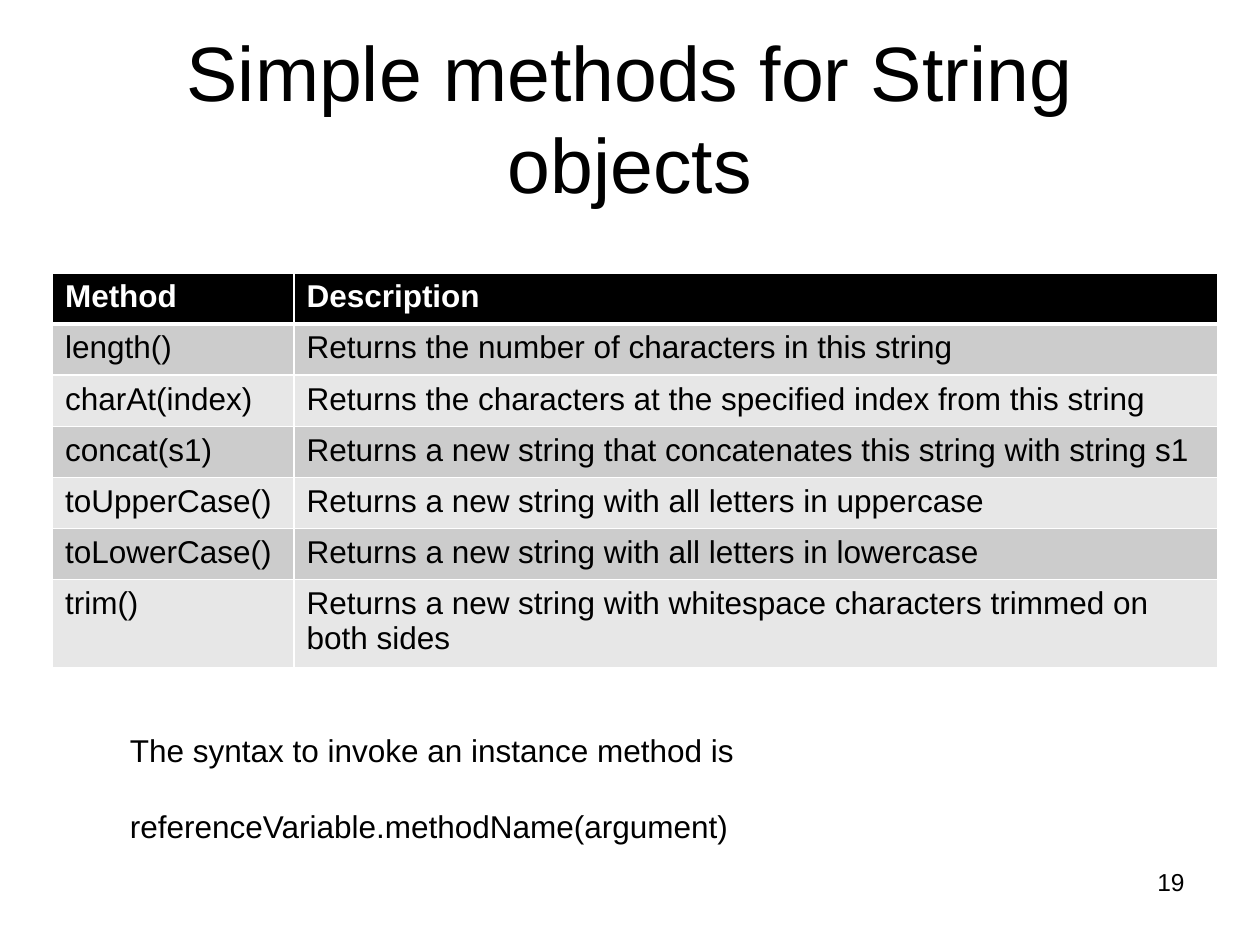
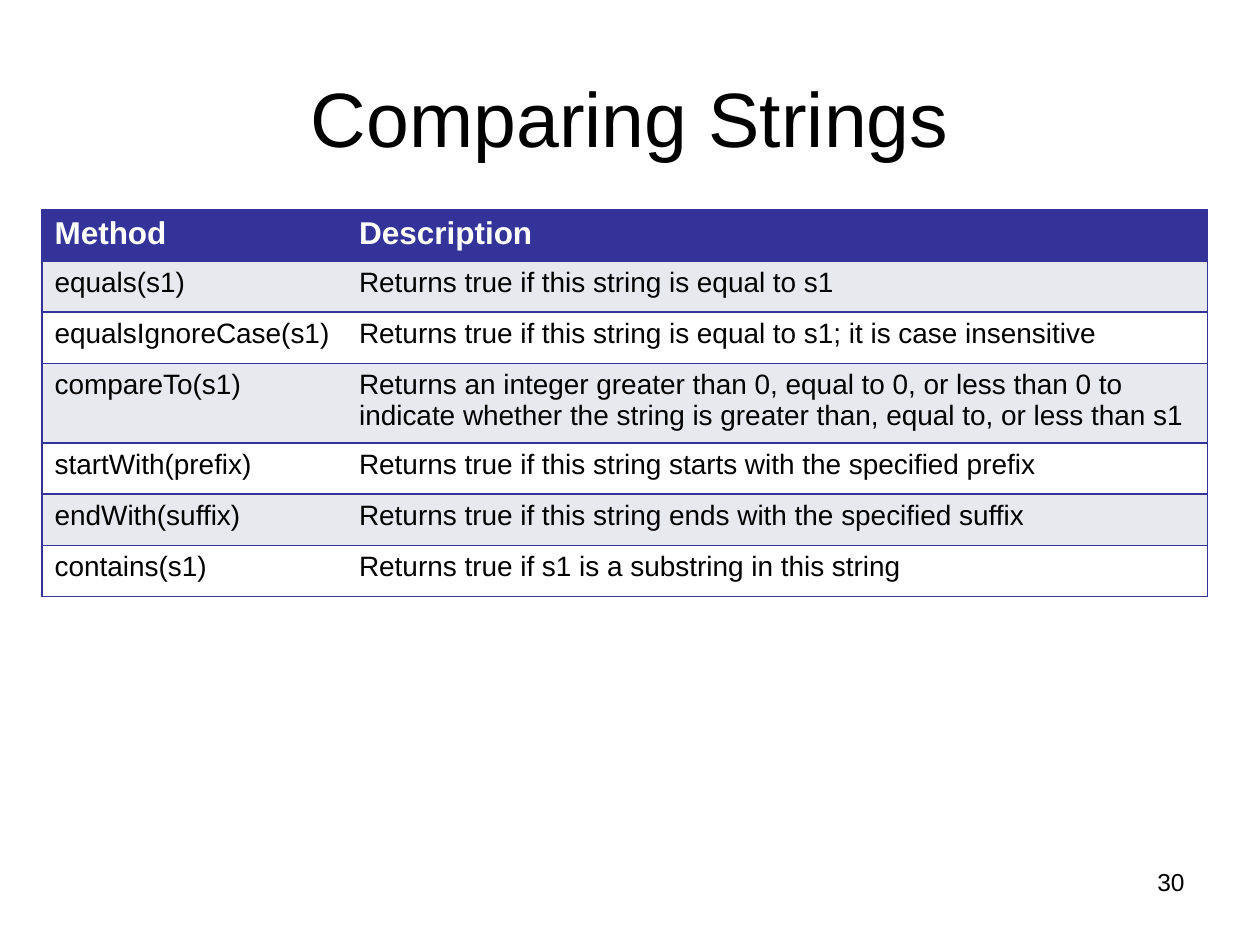
from lxml import etree
from pptx import Presentation
from pptx.dml.color import RGBColor
from pptx.enum.text import MSO_ANCHOR, MSO_AUTO_SIZE, PP_ALIGN
from pptx.oxml.ns import qn
from pptx.util import Inches, Pt

LEFT, MID, RIGHT = PP_ALIGN.LEFT, PP_ALIGN.CENTER, PP_ALIGN.RIGHT
TOP, CENTER = MSO_ANCHOR.TOP, MSO_ANCHOR.MIDDLE
FIXED = MSO_AUTO_SIZE.NONE
TITLE_ONLY = 5
WIDE, HIGH = 120, 90  # grid columns and rows on a slide
BLACK, WHITE, NAVY = "000000", "FFFFFF", "333399"
ROW = 4.87  # grid rows in a one-line table row

GRAY = {"head": BLACK, "bands": ("CCCCCC", "E7E7E7"), "line": WHITE,
        "rule": 3, "inner": True, "size": 18}
BLUE = {"head": NAVY, "bands": ("E8E8EF", WHITE), "line": NAVY,
        "rule": 1, "inner": False, "size": 16}

METHODS = [
    ("Method", "Description"),
    ("length()", "Returns the number of characters in this string"),
    ("charAt(index)",
     "Returns the characters at the specified index from this string"),
    ("concat(s1)",
     "Returns a new string that concatenates this string with string s1"),
    ("toUpperCase()", "Returns a new string with all letters in uppercase"),
    ("toLowerCase()", "Returns a new string with all letters in lowercase"),
    ("trim()", "Returns a new string with whitespace characters trimmed on "
               "both sides"),
]
TESTS = [
    ("Method", "Description"),
    ("equals(s1)", "Returns true if this string is equal to s1"),
    ("equalsIgnoreCase(s1)",
     "Returns true if this string is equal to s1; it is case insensitive"),
    ("compareTo(s1)",
     "Returns an integer greater than 0, equal to 0, or less than 0 to "
     "indicate whether the string is greater than, equal to, or less than s1"),
    ("startWith(prefix)",
     "Returns true if this string starts with the specified prefix"),
    ("endWith(suffix)",
     "Returns true if this string ends with the specified suffix"),
    ("contains(s1)", "Returns true if s1 is a substring in this string"),
]


def color(code):
    return RGBColor.from_string(code)


def assign(item, values):
    for name, value in values.items():
        setattr(item, name, value)


class Deck:
    def __init__(self):
        self.file = Presentation()
        assign(self.file, {"slide_width": Inches(10),
                           "slide_height": Inches(7.5)})
        self.slide = None

    def x(self, cols):
        return round(self.file.slide_width * cols / WIDE)

    def y(self, rows):
        return round(self.file.slide_height * rows / HIGH)

    def place(self, at):
        """Turn grid left, top, width and height into lengths."""
        left, top, width, height = at
        return self.x(left), self.y(top), self.x(width), self.y(height)

    def letter(self, frame, lines, size, align=LEFT, ink=BLACK, bold=False,
               gap=0):
        """Fill a text frame with one styled paragraph per line."""
        frame.text = "\n".join(lines)
        for i, para in enumerate(frame.paragraphs):
            assign(para, {"alignment": align,
                          "space_before": Pt(gap if i else 0)})
            for run in para.runs:
                assign(run.font, {"name": "Arial", "size": Pt(size),
                                  "bold": bold})
                run.font.color.rgb = color(ink)

    def page(self, title, number):
        layout = self.file.slide_layouts[TITLE_ONLY]
        self.slide = self.file.slides.add_slide(layout)
        head = self.slide.shapes.title
        spots = ("left", "top", "width", "height")
        assign(head, dict(zip(spots, self.place((6, 3.6, 108, 15)))))
        assign(head.text_frame, {"word_wrap": True, "auto_size": FIXED,
                                 "vertical_anchor": CENTER})
        self.letter(head.text_frame, [title], 44, MID)
        self.text((86, 82, 28, 6.2), [str(number)], 14, align=RIGHT)

    def text(self, at, lines, size, wrap=True, **style):
        frame = self.slide.shapes.add_textbox(*self.place(at)).text_frame
        assign(frame, {"word_wrap": wrap, "vertical_anchor": TOP})
        self.letter(frame, lines, size, **style)

    def edge(self, cell, sides):
        """Draw cell borders; sides maps L, R, T, B to (width, colour)."""
        props = cell._tc.get_or_add_tcPr()
        for i, (side, (width, ink)) in enumerate(sides.items()):
            line = etree.Element(qn("a:ln" + side), w=str(Pt(width)))
            if width:
                fill = etree.SubElement(line, qn("a:solidFill"))
                etree.SubElement(fill, qn("a:srgbClr"), val=ink)
            else:
                etree.SubElement(line, qn("a:noFill"))
            props.insert(i, line)

    def table(self, left, top, cols, data, look, tall):
        """Add a banded table; tall maps a row number to its height."""
        rows = [tall.get(i, ROW) for i in range(len(data))]
        at = self.place((left, top, sum(cols), sum(rows)))
        grid = self.slide.shapes.add_table(len(rows), len(cols), *at).table
        for col, width in zip(grid.columns, cols):
            col.width = self.x(width)
        for row, height in zip(grid.rows, rows):
            row.height = self.y(height)
        last = len(cols) - 1
        for r, words in enumerate(data):
            for c, word in enumerate(words):
                self.cell(grid.cell(r, c), word, look, r, c, last)

    def cell(self, cell, word, look, r, c, last):
        head = r == 0
        cell.fill.solid()
        back = look["head"] if head else look["bands"][(r - 1) % 2]
        cell.fill.fore_color.rgb = color(back)
        self.letter(cell.text_frame, [word], 18 if head else look["size"],
                    ink=WHITE if head else BLACK, bold=head)
        widths = {"L": 1 if c == 0 or look["inner"] else 0,
                  "R": 1 if c == last or look["inner"] else 0,
                  "T": look["rule"] if r == 1 else 1,
                  "B": look["rule"] if head else 1}
        self.edge(cell, {k: (w, look["line"]) for k, w in widths.items()})


def main():
    deck = Deck()

    deck.page("Simple methods for String objects", 19)
    deck.table(5, 26, (23, 88), METHODS, GRAY, {6: 8.4})
    deck.text((11.2, 69, 60.5, 12.1),
              ["The syntax to invoke an instance method is",
               "referenceVariable.methodName(argument)"],
              18, wrap=False, gap=22)

    deck.page("Comparing Strings", 30)
    deck.table(4, 20, (29, 82), TESTS, BLUE, {3: 7.6})

    deck.file.save("out.pptx")


if __name__ == "__main__":
    main()
